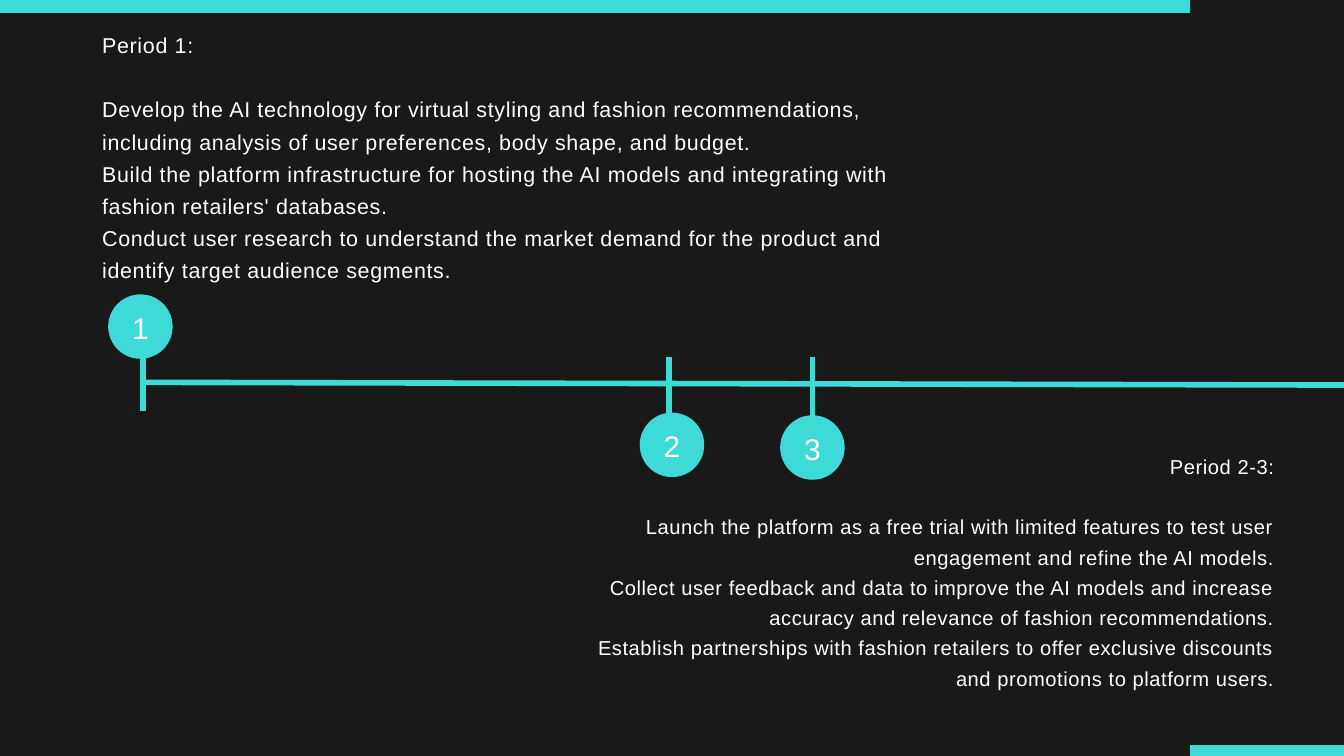
from dataclasses import dataclass

from lxml import etree
from pptx import Presentation
from pptx import util as u
from pptx.dml.color import RGBColor
from pptx.enum import shapes, text
from pptx.oxml import ns


@dataclass(frozen=True)
class Theme:
    background: RGBColor = RGBColor(0x19, 0x19, 0x19)
    accent: RGBColor = RGBColor(0x3E, 0xDA, 0xD8)
    ink: RGBColor = RGBColor(0xFF, 0xFF, 0xFF)
    font: str = "Arial"
    number_size: float = 32
    leading: float = 1.5  # line pitch as a multiple of the type size
    line_width: float = 6


THEME = Theme()
WIDTH, HEIGHT = 20, 11.25
DIAMETER = 0.96
TICK = 0.92
BAR_SPLIT = 17.71  # where the top bar ends and the bottom bar begins

# Content
PERIODS = [
    dict(
        box=(1.52, 0.38, 12.14, 3.73), size=23, tracking=0.7, align=text.PP_ALIGN.LEFT,
        heading="Period 1:",
        items=[
            "Develop the AI technology for virtual styling and fashion recommendations, "
            "including analysis of user preferences, body shape, and budget.",
            "Build the platform infrastructure for hosting the AI models and integrating "
            "with fashion retailers' databases.",
            "Conduct user research to understand the market demand for the product and "
            "identify target audience segments.",
        ],
    ),
    dict(
        box=(8.36, 6.67, 10.6, 4.01), size=21.6, tracking=0.6, align=text.PP_ALIGN.RIGHT,
        heading="Period 2-3:",
        items=[
            "Launch the platform as a free trial with limited features to test user "
            "engagement and refine the AI models.",
            "Collect user feedback and data to improve the AI models and increase "
            "accuracy and relevance of fashion recommendations.",
            "Establish partnerships with fashion retailers to offer exclusive discounts "
            "and promotions to platform users.",
        ],
    ),
]
# Number, tick x, tick top, circle centre x and y
MILESTONES = [
    ("1", 2.13, 5.19, 2.09, 4.86),
    ("2", 9.96, 5.31, 10, 6.62),
    ("3", 12.09, 5.31, 12.09, 6.66),
]
AXIS = (2.09, 5.69, WIDTH, 5.73)
BARS = [(0, 0, BAR_SPLIT, 0.19), (BAR_SPLIT, 11.09, WIDTH - BAR_SPLIT, HEIGHT - 11.09)]


def inches(values):
    return [u.Inches(value) for value in values]


def add_filled(slide, kind, box):
    shape = slide.shapes.add_shape(kind, *inches(box))
    shape.shadow.inherit = False
    shape.fill.solid()
    shape.fill.fore_color.rgb = THEME.accent
    shape.line.fill.background()
    return shape


def add_line(slide, ends):
    line = slide.shapes.add_connector(shapes.MSO_CONNECTOR.STRAIGHT, *inches(ends))
    line.line.color.rgb = THEME.accent
    line.line.width = u.Pt(THEME.line_width)
    etree.SubElement(line._element.spPr, ns.qn("a:effectLst"))


def set_margins(frame, left=0, top=0, right=0, bottom=0):
    frame.margin_left, frame.margin_top, frame.margin_right, frame.margin_bottom = inches(
        (left, top, right, bottom))


def format_paragraph(paragraph, size, tracking, align):
    paragraph.alignment = align
    paragraph.line_spacing = u.Pt(size * THEME.leading)
    for run in paragraph.runs:
        run.font.name = THEME.font
        run.font.size = u.Pt(size)
        run.font.color.rgb = THEME.ink
        run._r.get_or_add_rPr().set("spc", str(round(tracking * 100)))


def add_period(slide, period):
    frame = slide.shapes.add_textbox(*inches(period["box"])).text_frame
    frame.word_wrap = True
    set_margins(frame)
    frame.text = "\n".join([period["heading"], *period["items"]])
    for paragraph in frame.paragraphs:
        format_paragraph(paragraph, period["size"], period["tracking"], period["align"])
    # One line of air under the heading
    frame.paragraphs[0].space_after = u.Pt(period["size"] * THEME.leading)


def add_milestone(slide, number, tick_x, tick_top, x, y):
    add_line(slide, (tick_x, tick_top, tick_x, tick_top + TICK))
    circle = add_filled(slide, shapes.MSO_SHAPE.OVAL,
                        (x - DIAMETER / 2, y - DIAMETER / 2, DIAMETER, DIAMETER))
    frame = circle.text_frame
    frame.word_wrap = False
    frame.vertical_anchor = text.MSO_ANCHOR.MIDDLE
    set_margins(frame, bottom=0.11)
    frame.text = number
    format_paragraph(frame.paragraphs[0], THEME.number_size, 1, text.PP_ALIGN.CENTER)


def main():
    presentation = Presentation()
    presentation.slide_width, presentation.slide_height = inches((WIDTH, HEIGHT))
    slide = presentation.slides.add_slide(presentation.slide_layouts.get_by_name("Blank"))
    slide.background.fill.solid()
    slide.background.fill.fore_color.rgb = THEME.background

    # Edge bars
    for bar in BARS:
        add_filled(slide, shapes.MSO_SHAPE.RECTANGLE, bar)
    # Timeline
    add_line(slide, AXIS)
    for milestone in MILESTONES:
        add_milestone(slide, *milestone)
    # Period descriptions
    for period in PERIODS:
        add_period(slide, period)

    presentation.save("out.pptx")


if __name__ == "__main__":
    main()
